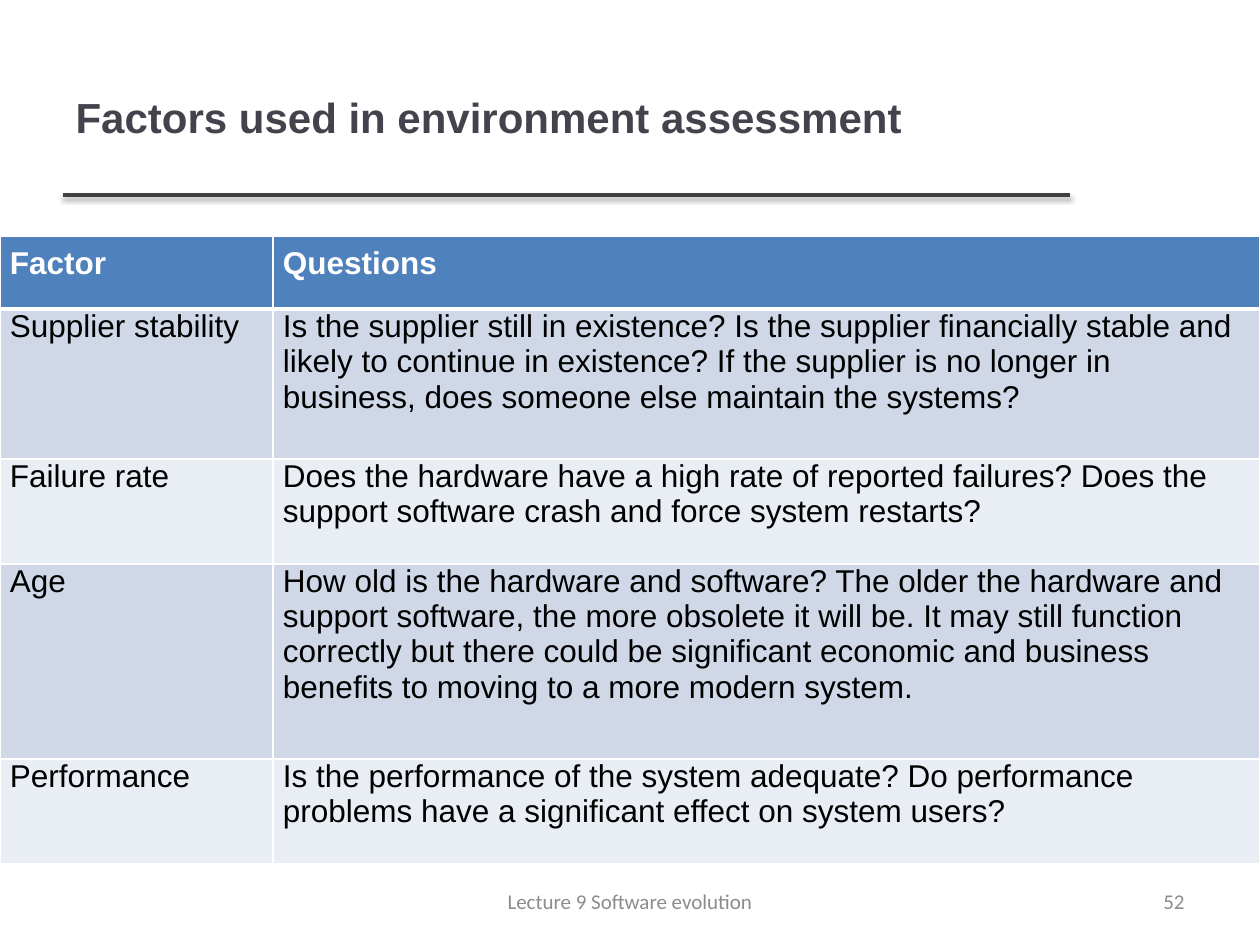
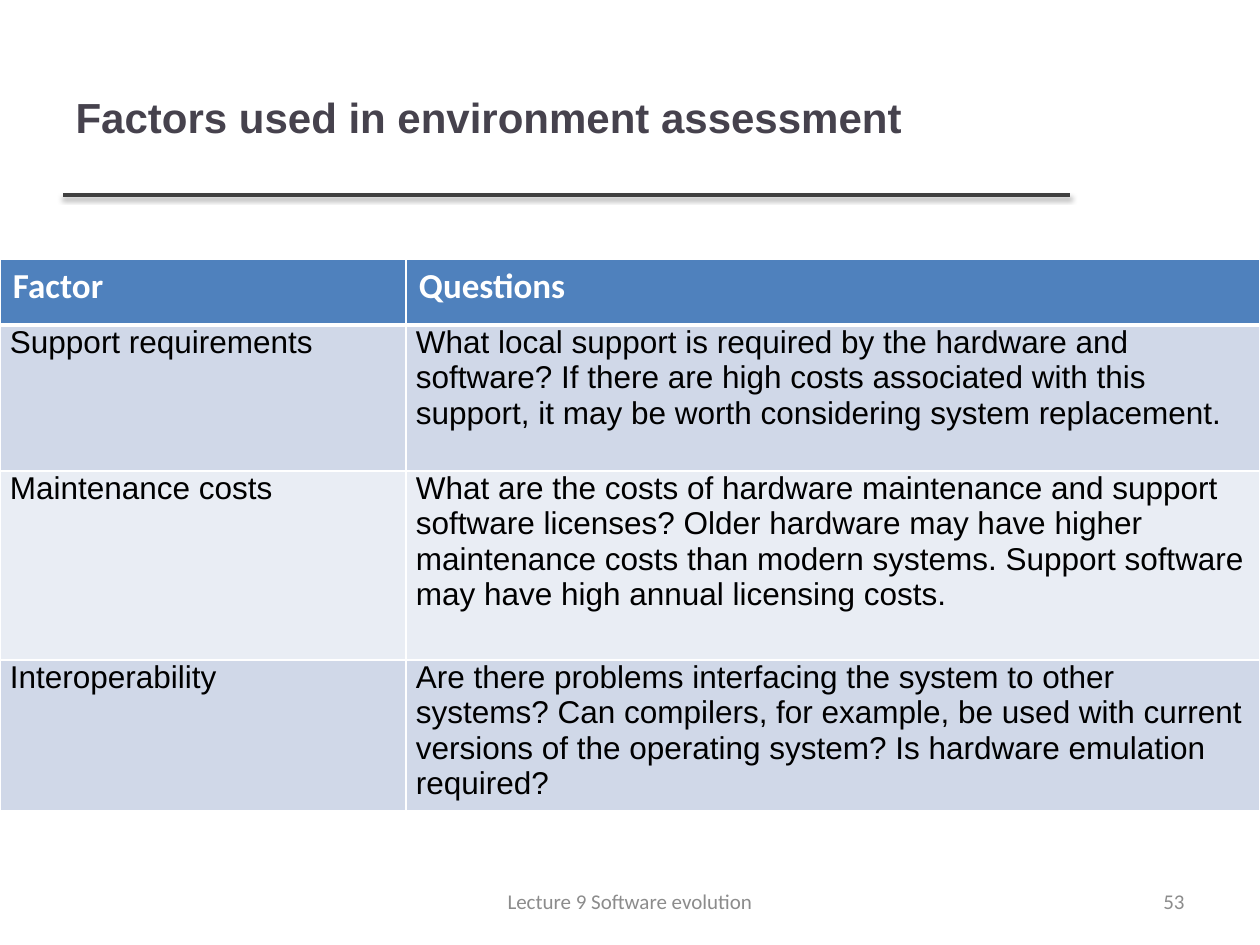
from lxml.etree import SubElement
from pptx import Presentation
from pptx.dml.color import RGBColor
from pptx.enum.shapes import MSO_CONNECTOR as Connector
from pptx.enum.text import MSO_ANCHOR as Anchor, PP_ALIGN as Align
from pptx.oxml.ns import qn
from pptx.util import Emu, Pt

PX = 914400 / 126
SLIDE_WIDTH, SLIDE_HEIGHT = 1260, 945
TITLE_ONLY = 5
WHITE, BLACK, HEADER_BLUE = "FFFFFF", "000000", "4F81BD"
BANDS = ["D0D8E8", "E9EDF4"]
RULE_GREY = "404040"

TITLE_FONT = {"name": "Arial", "size": Pt(24), "bold": True, "color": "46424D"}
FOOTER_FONT = {"name": "Calibri", "size": Pt(12), "bold": False, "color": "8C8C8C"}
BODY_FONT = {"name": "Arial", "size": Pt(18), "bold": False, "color": BLACK}
ARIAL_HEADER = BODY_FONT | {"bold": True, "color": WHITE}
CALIBRI_HEADER = ARIAL_HEADER | {"name": "Calibri", "size": Pt(20)}

TITLE = "Factors used in environment assessment"
FOOTER = "Lecture 9 Software evolution"
HEADINGS = ("Factor", "Questions")

SLIDES = [
    {
        "number": 52,
        "top": 236,
        "columns": [273, 987],
        "row_heights": [73, 150, 105, 195, 105],
        "header": {"font": ARIAL_HEADER, "insets": (10, 10, 10, 10), "space_after": 6},
        "factors": [
            ("Supplier stability",
             "Is the supplier still in existence? Is the supplier financially stable and "
             "likely to continue in existence? If the supplier is no longer in business, "
             "does someone else maintain the systems?"),
            ("Failure rate",
             "Does the hardware have a high rate of reported failures? Does the support "
             "software crash and force system restarts?"),
            ("Age",
             "How old is the hardware and software? The older the hardware and support "
             "software, the more obsolete it will be. It may still function correctly but "
             "there could be significant economic and business benefits to moving to a "
             "more modern system."),
            ("Performance",
             "Is the performance of the system adequate? Do performance problems have a "
             "significant effect on system users?"),
        ],
    },
    {
        "number": 53,
        "top": 259,
        "columns": [406, 854],
        "row_heights": [66, 146, 189, 151],
        "header": {"font": CALIBRI_HEADER, "insets": (13, 6, 13, 6), "space_after": 0},
        "factors": [
            ("Support requirements",
             "What local support is required by the hardware and software? If there are "
             "high costs associated with this support, it may be worth considering system "
             "replacement."),
            ("Maintenance costs",
             "What are the costs of hardware maintenance and support software licenses? "
             "Older hardware may have higher maintenance costs than modern systems. "
             "Support software may have high annual licensing costs."),
            ("Interoperability",
             "Are there problems interfacing the system to other systems? Can compilers, "
             "for example, be used with current versions of the operating system? Is "
             "hardware emulation required?"),
        ],
    },
]
BODY_STYLE = {"font": BODY_FONT, "insets": (10, 0, 10, 10), "space_after": 6}


def px(length):
    """Turn pixels into EMU."""
    return Emu(round(length * PX))


def color(value):
    """Turn a hex string into a colour."""
    return RGBColor.from_string(value)


def set_values(target, values):
    """Set each named attribute of the target."""
    for name, value in values.items():
        setattr(target, name, value)


def write_text(frame, text, font, align=Align.LEFT, space_after=0):
    """Write one formatted paragraph into a text frame."""
    paragraph = frame.paragraphs[0]
    set_values(paragraph, {"alignment": align, "space_after": Pt(space_after)})
    run = paragraph.add_run()
    run.text = text
    set_values(run.font, {name: value for name, value in font.items() if name != "color"})
    run.font.color.rgb = color(font["color"])


def add_title(slide, text):
    """Place and fill the title placeholder."""
    title = slide.shapes.title
    set_values(title, {"left": px(63), "top": px(38), "width": px(1006), "height": px(157)})
    set_values(title.text_frame, {"vertical_anchor": Anchor.MIDDLE, "word_wrap": True})
    write_text(title.text_frame, text, TITLE_FONT)


def add_title_rule(slide):
    """Draw the shadowed rule under the title."""
    rule = slide.shapes.add_connector(Connector.STRAIGHT, px(63), px(195), px(1070), px(195))
    rule.line.width = Pt(2)
    rule.line.color.rgb = color(RULE_GREY)
    effects = SubElement(rule._element.spPr, qn("a:effectLst"))
    shadow = SubElement(effects, qn("a:outerShdw"), blurRad="40000", dist="20000",
                        dir="5400000", rotWithShape="0")
    tint = SubElement(shadow, qn("a:srgbClr"), val=BLACK)
    SubElement(tint, qn("a:alpha"), val="38000")


def add_footer_text(slide, left, width, text, align):
    """Add one text of the footer line."""
    box = slide.shapes.add_textbox(px(left), px(876), px(width), px(50))
    set_values(box.text_frame, {"vertical_anchor": Anchor.MIDDLE, "word_wrap": True})
    write_text(box.text_frame, text, FOOTER_FONT, align)


def add_borders(cell, widths):
    """Give a cell white borders of the given widths in points."""
    properties = cell._tc.get_or_add_tcPr()
    for side in "LRTB":
        line = SubElement(properties, qn(f"a:ln{side}"), w=str(Pt(widths.get(side, 1))))
        fill = SubElement(line, qn("a:solidFill"))
        SubElement(fill, qn("a:srgbClr"), val=WHITE)


def fill_cell(cell, text, style, background, border_widths):
    """Write and format one table cell."""
    sides = ("margin_left", "margin_top", "margin_right", "margin_bottom")
    set_values(cell, dict(zip(sides, map(px, style["insets"]))))
    add_borders(cell, border_widths)
    cell.fill.solid()
    cell.fill.fore_color.rgb = color(background)
    write_text(cell.text_frame, text, style["font"], space_after=style["space_after"])


def add_factor_table(slide, content):
    """Add the banded table of factors and questions."""
    columns, heights = content["columns"], content["row_heights"]
    table = slide.shapes.add_table(
        len(heights), len(columns), 0, px(content["top"]), px(sum(columns)), px(sum(heights))
    ).table
    for column, width in zip(table.columns, columns):
        column.width = px(width)
    for row, height in zip(table.rows, heights):
        row.height = px(height)
    for index, texts in enumerate([HEADINGS, *content["factors"]]):
        style = BODY_STYLE if index else content["header"]
        background = BANDS[(index - 1) % 2] if index else HEADER_BLUE
        border_widths = {0: {"B": 3}, 1: {"T": 3}}.get(index, {})
        for cell, text in zip(table.rows[index].cells, texts):
            fill_cell(cell, text, style, background, border_widths)


def add_factor_slide(presentation, content):
    """Add one slide with title, table and footer."""
    slide = presentation.slides.add_slide(presentation.slide_layouts[TITLE_ONLY])
    add_title_rule(slide)
    add_title(slide, TITLE)
    add_factor_table(slide, content)
    add_footer_text(slide, 903, 294, str(content["number"]), Align.RIGHT)
    add_footer_text(slide, 430, 400, FOOTER, Align.CENTER)


def main():
    """Build and save the presentation."""
    presentation = Presentation()
    set_values(presentation, {"slide_width": px(SLIDE_WIDTH), "slide_height": px(SLIDE_HEIGHT)})
    for content in SLIDES:
        add_factor_slide(presentation, content)
    presentation.save("out.pptx")


if __name__ == "__main__":
    main()
